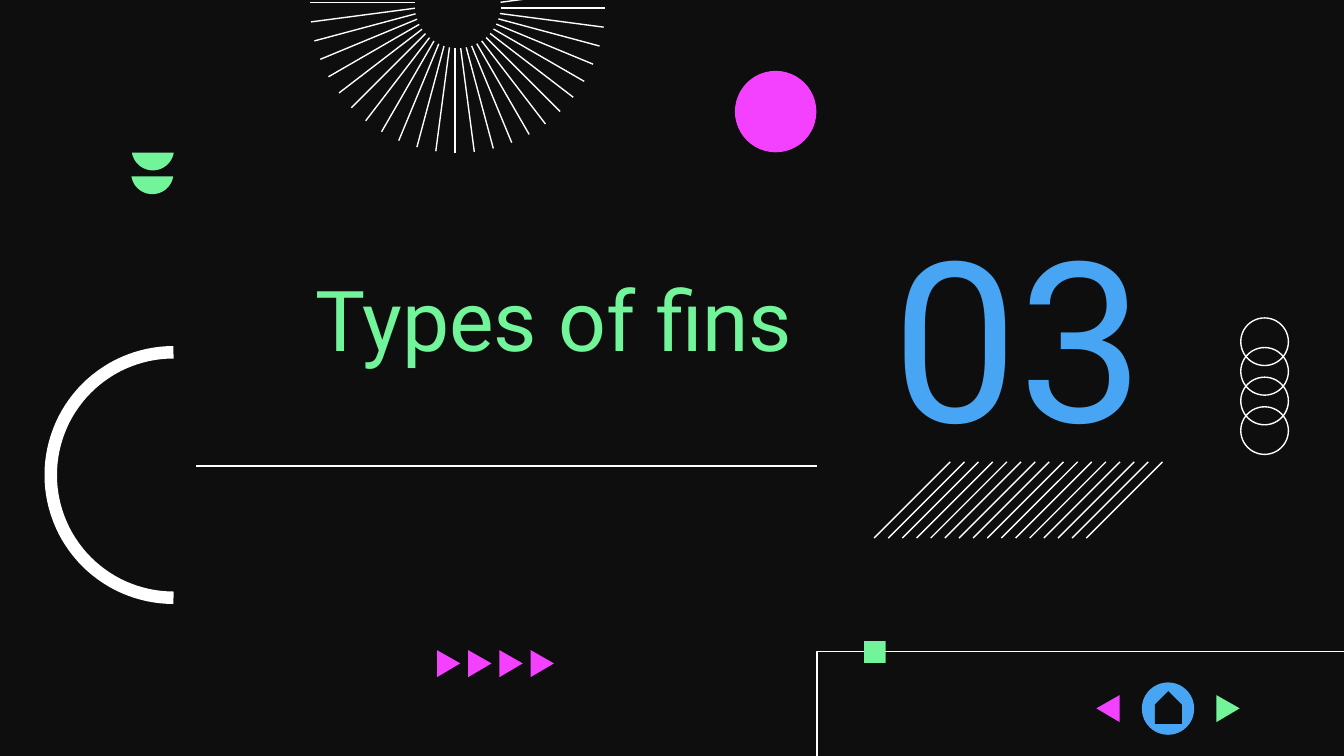
from math import cos, radians, sin

from lxml import etree
from pptx import Presentation
from pptx.dml.color import RGBColor
from pptx.enum.shapes import MSO_CONNECTOR, MSO_SHAPE
from pptx.enum.text import MSO_ANCHOR, PP_ALIGN
from pptx.oxml.ns import qn
from pptx.util import Cm, Pt

STRAIGHT = MSO_CONNECTOR.STRAIGHT
OVAL, SQUARE, HOUSE = MSO_SHAPE.OVAL, MSO_SHAPE.RECTANGLE, MSO_SHAPE.PENTAGON
TOP = MSO_ANCHOR.TOP
RIGHT, CENTER = PP_ALIGN.RIGHT, PP_ALIGN.CENTER
COLORS = {
    "black": "0E0E0E",
    "white": "FFFFFF",
    "pink": "F341FF",
    "green": "72F49A",
    "blue": "47A5F3",
}
RGB = {name: RGBColor.from_string(value) for name, value in COLORS.items()}

prs = Presentation()
prs.slide_width, prs.slide_height = Cm(25.4), Cm(14.29)
s = prs.slides.add_slide(prs.slide_layouts[6])
s.background.fill.solid()
s.background.fill.fore_color.rgb = RGB["black"]


def paint(sp, fill=None, width=None):
    sp.shadow.inherit = False
    if fill:
        sp.fill.solid()
        sp.fill.fore_color.rgb = RGB[fill]
    else:
        sp.fill.background()
    if width:
        sp.line.color.rgb = RGB["white"]
        sp.line.width = Pt(width)
    else:
        sp.line.fill.background()


def outline(points, fill=None, width=None):
    pts = [(Cm(x), Cm(y)) for x, y in points]
    fb = s.shapes.build_freeform(*pts[0], scale=1.0)
    fb.add_line_segments(pts[1:], close=fill is not None)
    paint(fb.convert_to_shape(), fill, width)


for i in range(4):
    sp = s.shapes.add_shape(OVAL, Cm(23.45), Cm(6.01 + 0.56 * i), Cm(0.9), Cm(0.9))
    paint(sp, width=0.75)

outline([(26.42, 12.32), (15.44, 12.32), (15.44, 20.96)], width=0.75)

for kind, x, y, w, h, rotation, fill in [
    (OVAL, 13.89, 1.34, 1.54, 1.54, 0, "pink"),
    (SQUARE, 16.33, 12.12, 0.41, 0.41, 0, "green"),
    (OVAL, 21.58, 12.9, 0.99, 0.99, 0, "blue"),
    (HOUSE, 21.77, 13.12, 0.62, 0.51, 270, "black"),
]:
    sp = s.shapes.add_shape(kind, Cm(x), Cm(y), Cm(w), Cm(h))
    sp.rotation = rotation
    paint(sp, fill)

triangles = [(8.26 + 0.59 * i, 12.29, 0.44, "pink") for i in range(4)]
triangles += [(21.16, 13.14, -0.44, "pink"), (22.99, 13.14, 0.44, "green")]
for x, y, w, fill in triangles:
    outline([(x, y), (x + w, y + 0.25), (x, y + 0.51)], fill)

for cx, cy, radius, start, end, fill, width in [
    (2.88, 3.27, 0.4, 9, 171, "green", None),
    (2.89, 2.82, 0.4, 9, 171, "green", None),
    (3.28, 8.98, 2.32, 90, 270, None, 6.69),
]:
    angles = [radians(start + (end - start) * i / 60) for i in range(61)]
    outline([(cx + radius * cos(a), cy + radius * sin(a)) for a in angles], fill, width)

segments = [(3.71, 8.81, 15.44, 8.81)]
for i in range(16):
    x = 17.96 + 4.01 * i / 15
    segments.append((x, 8.73, x - 1.44, 10.17))
for i in range(-1, 25):
    a = radians(7.5 * i)
    x, y = 8.65 - 0.05 * sin(a), 0.1 + 0.05 * cos(a)
    segments.append((x + 0.81 * cos(a), y + 0.81 * sin(a),
                     x + 2.79 * cos(a), y + 2.79 * sin(a)))
for segment in segments:
    sp = s.shapes.add_connector(STRAIGHT, *[Cm(v) for v in segment])
    sp.line.color.rgb = RGB["white"]
    sp.line.width = Pt(0.75)
    etree.SubElement(sp._element.spPr, qn("a:effectLst"))

for text, x, y, w, h, align, size, color in [
    ("Types of fins ", 3.1, 5.05, 12.52, 2.84, RIGHT, 45, "green"),
    ("03", 15.67, 3.76, 7.16, 4.44, CENTER, 120, "blue"),
]:
    tf = s.shapes.add_textbox(Cm(x), Cm(y), Cm(w), Cm(h)).text_frame
    frame = {"word_wrap": True, "vertical_anchor": TOP, "margin_left": Cm(0.25),
             "margin_top": 0, "margin_right": Cm(0.25), "margin_bottom": Cm(0.25)}
    for name, value in frame.items():
        setattr(tf, name, value)
    p = tf.paragraphs[0]
    p.alignment = align
    r = p.add_run()
    r.text = text
    for name, value in {"name": "Roboto", "size": Pt(size)}.items():
        setattr(r.font, name, value)
    r.font.color.rgb = RGB[color]

prs.save("out.pptx")
